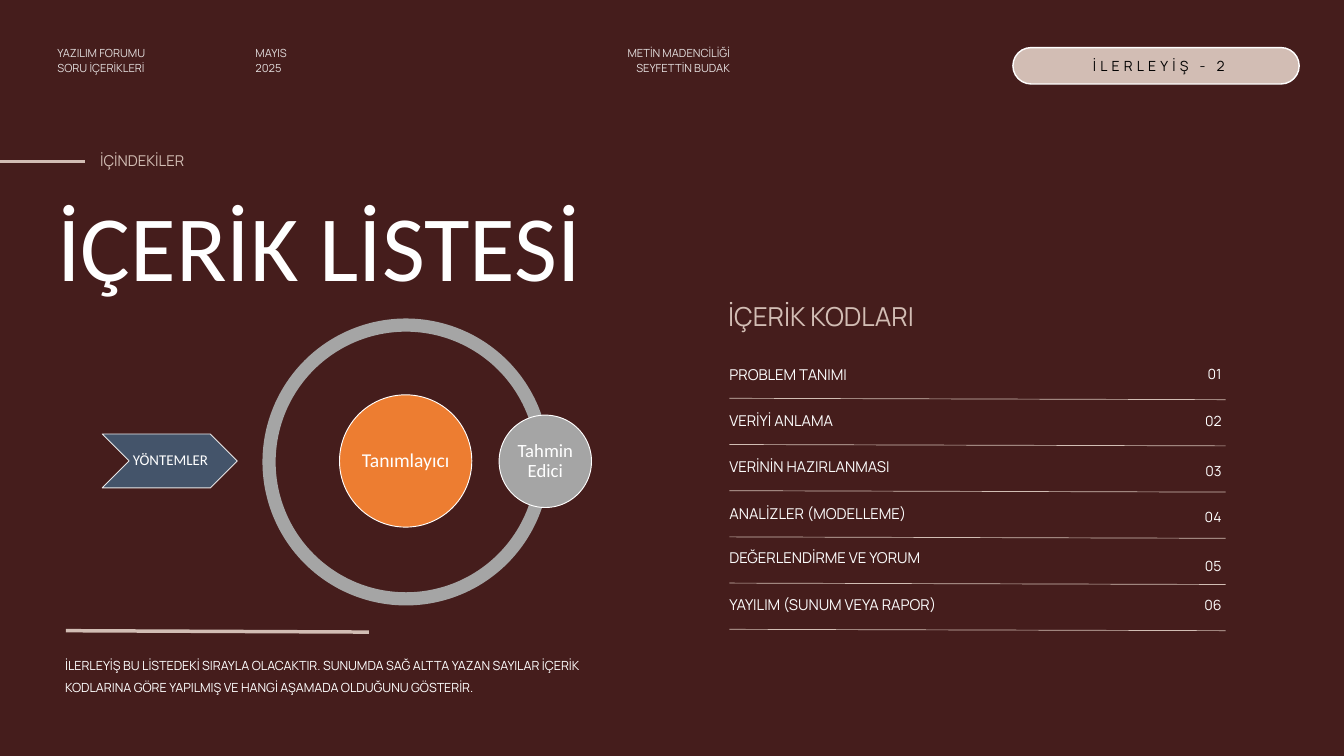
from lxml.etree import SubElement
from pptx import Presentation
from pptx.dml.color import RGBColor
from pptx.enum.shapes import MSO_CONNECTOR, MSO_SHAPE
from pptx.enum.text import MSO_ANCHOR, MSO_AUTO_SIZE, PP_ALIGN
from pptx.oxml.ns import qn
from pptx.util import Pt

EMU_PER_PX = 9525
WINE, SAND, WHITE, SNOW = "451D1C", "D2BDB4", "FFFFFF", "FCFCFC"
SLATE, PALE, ORANGE, GREY, BLACK = "44546A", "E7E6E6", "ED7D31", "A5A5A5", "000000"
LEFT, CENTER, RIGHT = PP_ALIGN.LEFT, PP_ALIGN.CENTER, PP_ALIGN.RIGHT

# topic, line spacing in points, top of its number
TOPICS = [
    ("PROBLEM TANIMI", 19.5, 522),
    ("VERİYİ ANLAMA", 19.5, 590),
    ("VERİNİN HAZIRLANMASI", 19.5, 660),
    ("ANALİZLER (MODELLEME)", 19.5, 727),
    ("DEĞERLENDİRME VE YORUM", 18, 796),
    ("YAYILIM (SUNUM VEYA RAPOR)", 18, 852),
]
TOPIC_LEFT, TOPIC_RIGHT, TOPIC_TOP, TOPIC_PITCH = 1042, 1751, 522, 66


def px(length):
    return length * EMU_PER_PX


def color(hex_code):
    return RGBColor.from_string(hex_code)


class SlideBuilder:
    """Holds the text style and the slide being drawn."""

    font = "Manrope"
    shape_font = "Calibri"

    def __init__(self, page, background):
        self.page = page
        page.background.fill.solid()
        page.background.fill.fore_color.rgb = color(background)

    def style(self, frame, size, ink, align, spacing, font, opacity=100, tracking=0):
        for para in frame.paragraphs:
            para.alignment = align
            para.line_spacing = spacing
            for span in para.runs:
                span.font.name = font
                span.font.size = Pt(size)
                span.font.color.rgb = color(ink)
                properties = span.font._element
                if opacity < 100:
                    alpha = SubElement(properties.find(".//" + qn("a:srgbClr")), qn("a:alpha"))
                    alpha.set("val", str(opacity * 1000))
                if tracking:
                    properties.set("spc", str(tracking))

    def text(self, words, left, top, width, height, size, ink, spacing,
             align=LEFT, font=font, **extras):
        box = self.page.shapes.add_textbox(px(left), px(top), px(width), px(height))
        frame = box.text_frame
        frame.word_wrap = True
        frame.auto_size = MSO_AUTO_SIZE.SHAPE_TO_FIT_TEXT
        frame.margin_left = frame.margin_top = frame.margin_right = frame.margin_bottom = 0
        frame.text = words
        self.style(frame, size, ink, align, Pt(spacing), font, **extras)

    def shape(self, kind, left, top, width, height, fill, outline=None, weight=1,
              adjustments=()):
        shape = self.page.shapes.add_shape(kind, px(left), px(top), px(width), px(height))
        shape.shadow.inherit = False
        shape.fill.solid()
        shape.fill.fore_color.rgb = color(fill)
        if outline:
            shape.line.color.rgb = color(outline)
            shape.line.width = Pt(weight)
        else:
            shape.line.fill.background()
        for index, value in enumerate(adjustments):
            shape.adjustments[index] = value
        return shape

    def label(self, shape, words, size, margins):
        """Centre words in a shape; margins run left, top, right, bottom."""
        frame = shape.text_frame
        frame.word_wrap = True
        frame.vertical_anchor = MSO_ANCHOR.MIDDLE
        (frame.margin_left, frame.margin_top,
         frame.margin_right, frame.margin_bottom) = map(px, margins)
        frame.text = words
        self.style(frame, size, WHITE, CENTER, 0.9, self.shape_font)

    def line(self, x1, y1, x2, y2, weight):
        line = self.page.shapes.add_connector(
            MSO_CONNECTOR.STRAIGHT, px(x1), px(y1), px(x2), px(y2))
        line.line.color.rgb = color(SAND)
        line.line.width = Pt(weight)
        SubElement(line._element.spPr, qn("a:effectLst"))


def draw_header(slide):
    for words, left, width, ink, align in [
        ("YAZILIM FORUMU\nSORU İÇERİKLERİ", 82, 217, SNOW, LEFT),
        ("MAYIS\n2025", 365, 115, SNOW, LEFT),
        ("METİN MADENCİLİĞİ\nSEYFETTİN BUDAK", 819, 224, WHITE, RIGHT),
    ]:
        slide.text(words, left, 63, width, 44, 12, ink, 16.5, align, opacity=85)
    slide.shape(MSO_SHAPE.ROUNDED_RECTANGLE, 1447, 68, 409, 52, SAND, WHITE, 1.5, [0.5])
    slide.text("İLERLEYİŞ - 2", 1474, 82, 363, 24, 15, BLACK, 18, CENTER, tracking=450)


def draw_title(slide):
    slide.line(0, 231, 122, 231, 3)
    slide.text("İÇİNDEKİLER", 143, 216, 230, 26, 16, SAND, 19.2)
    slide.text("İÇERİK LİSTESİ", 82, 269, 797, 159, 100, WHITE, 120, font=slide.shape_font)


def draw_methods(slide):
    chevron = slide.shape(MSO_SHAPE.CHEVRON, 146, 620, 193, 77, SLATE, PALE)
    slide.label(chevron, "YÖNTEMLER", 16, (2, 1, 0, 1))
    slide.shape(MSO_SHAPE.BLOCK_ARC, 375, 455, 410, 410, GREY,
                adjustments=[0.106, 215.894, 0.046])
    for words, left, top, diameter, fill, size in [
        ("Tanımlayıcı", 485, 564, 189, ORANGE, 21),
        ("Tahmin Edici", 713, 593, 132, GREY, 20),
    ]:
        circle = slide.shape(MSO_SHAPE.OVAL, left, top, diameter, diameter, fill, WHITE)
        slide.label(circle, words, size, (3, 3, 3, 3))


def draw_note(slide):
    slide.line(94, 901, 527, 903, 3.75)
    slide.text("İLERLEYİŞ BU LİSTEDEKİ SIRAYLA OLACAKTIR. SUNUMDA SAĞ ALTTA YAZAN SAYILAR "
               "İÇERİK KODLARINA GÖRE YAPILMIŞ VE HANGİ AŞAMADA OLDUĞUNU GÖSTERİR.",
               93, 929, 756, 61, 13.5, WHITE, 24)


def draw_topics(slide):
    slide.text("İÇERİK KODLARI", 1040, 436, 378, 39, 28, SAND, 28.8)
    for index, (topic, spacing, number_top) in enumerate(TOPICS):
        top = TOPIC_TOP + index * TOPIC_PITCH
        slide.text(topic, TOPIC_LEFT, top, 319, 26, 16, SNOW, spacing)
        slide.text(f"{index + 1:02}", 1682, number_top, 63, 24, 15, WHITE, 18, RIGHT)
        slide.line(TOPIC_LEFT, top + 47, TOPIC_RIGHT, top + 49, 0.75)


def main():
    deck = Presentation()
    deck.slide_width, deck.slide_height = px(1920), px(1080)
    slide = SlideBuilder(deck.slides.add_slide(deck.slide_layouts[6]), WINE)
    draw_header(slide)
    draw_title(slide)
    draw_methods(slide)
    draw_note(slide)
    draw_topics(slide)
    deck.save("out.pptx")


if __name__ == "__main__":
    main()
